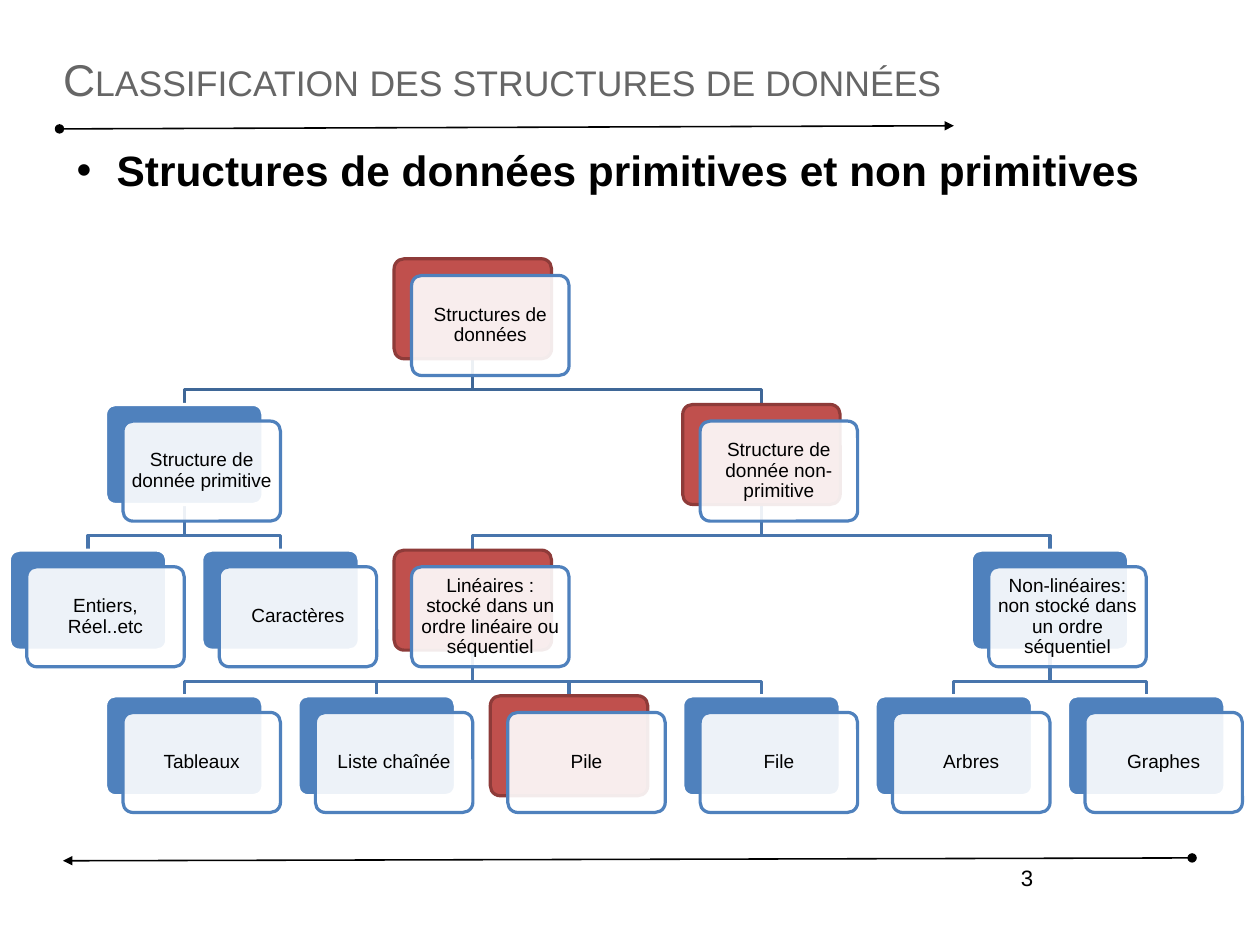
from collections.abc import Iterator
from dataclasses import dataclass

from lxml import etree
from pptx import Presentation
from pptx import util as u
from pptx.dml.color import RGBColor
from pptx.enum import shapes, text
from pptx.oxml import ns

BLUE, RED, DARK_RED = "4F81BD", "C0504D", "8E3B39"
WHITE, BLACK, GREY = "FFFFFF", "000000", "666666"
ROOT_LINK, LINK = "3F6797", "4875AC"

CARD_WIDTH, CARD_HEIGHT = 99.2, 63
TREE_LEFT, TREE_TOP = 5.9, 163
COLUMN_STEP, LEVEL_STEP = 60.6, 91.75
FRONT_DX, FRONT_DY = 11, 10.5
STEM = 19.6


@dataclass
class Node:
    label: str
    column: int
    highlighted: bool = False
    children: tuple["Node", ...] = ()
    level: int = 0

    def __post_init__(self) -> None:
        for child in self.children:
            child.lower()

    def lower(self) -> None:
        """Move the whole branch one level down."""
        self.level += 1
        for child in self.children:
            child.lower()

    def branch(self) -> Iterator["Node"]:
        yield self
        for child in self.children:
            yield from child.branch()

    @property
    def left(self) -> float:
        return TREE_LEFT + self.column * COLUMN_STEP

    @property
    def top(self) -> float:
        return TREE_TOP + self.level * LEVEL_STEP

    @property
    def center(self) -> float:
        return self.left + CARD_WIDTH / 2


@dataclass
class Arrow:
    """A line from a dot to a triangular head."""
    x1: float
    y1: float
    x2: float
    y2: float


TREE = Node("Structures de données", 4, True, (
    Node("Structure de donnée primitive", 1, children=(
        Node("Entiers, Réel..etc", 0),
        Node("Caractères", 2),
    )),
    Node("Structure de donnée non-primitive", 7, True, (
        Node("Linéaires : stocké dans un ordre linéaire ou séquentiel", 4, True, (
            Node("Tableaux", 1),
            Node("Liste chaînée", 3),
            Node("Pile", 5, True),
            Node("File", 7),
        )),
        Node("Non-linéaires: non stocké dans un ordre séquentiel", 10, children=(
            Node("Arbres", 9),
            Node("Graphes", 11),
        )),
    )),
))

ARROWS = (Arrow(37.5, 81.2, 601, 79.2), Arrow(751, 540.4, 39.7, 542.2))


def color(value: str) -> RGBColor:
    return RGBColor.from_string(value)


def set_line(shape, value: str, width: float) -> None:
    shape.line.color.rgb = color(value)
    shape.line.width = u.Pt(width)


def set_text(shape, content: str, size: float, inset: tuple[float, float],
             value: str = BLACK, align=text.PP_ALIGN.LEFT,
             anchor=text.MSO_ANCHOR.MIDDLE):
    frame = shape.text_frame
    frame.word_wrap = True
    frame.vertical_anchor = anchor
    frame.margin_left = frame.margin_right = u.Pt(inset[0])
    frame.margin_top = frame.margin_bottom = u.Pt(inset[1])
    paragraph = frame.paragraphs[0]
    paragraph.text = content
    paragraph.alignment = align
    paragraph.font.name = "Arial"
    paragraph.font.size = u.Pt(size)
    paragraph.font.color.rgb = color(value)
    return paragraph


def add_text(slide, left: float, top: float, width: float, height: float,
             content: str, size: float, **options):
    box = slide.shapes.add_textbox(u.Pt(left), u.Pt(top), u.Pt(width), u.Pt(height))
    return set_text(box, content, size, **options)


def add_arrow(slide, arrow: Arrow) -> None:
    connector = slide.shapes.add_connector(
        shapes.MSO_CONNECTOR.STRAIGHT,
        u.Pt(arrow.x1), u.Pt(arrow.y1), u.Pt(arrow.x2), u.Pt(arrow.y2))
    set_line(connector, BLACK, 1)
    line = connector._element.spPr.find(ns.qn("a:ln"))
    etree.SubElement(line, ns.qn("a:headEnd"), type="oval")
    etree.SubElement(line, ns.qn("a:tailEnd"), type="triangle")
    etree.SubElement(connector._element.spPr, ns.qn("a:effectLst"))


def add_link(slide, parent: Node, child: Node) -> None:
    start = parent.top + CARD_HEIGHT
    bend = start + STEM
    builder = slide.shapes.build_freeform(u.Pt(parent.center), u.Pt(start))
    builder.add_line_segments([
        (u.Pt(parent.center), u.Pt(bend)),
        (u.Pt(child.center), u.Pt(bend)),
        (u.Pt(child.center), u.Pt(child.top)),
    ], close=False)
    link = builder.convert_to_shape()
    link.shadow.inherit = False
    link.fill.background()
    set_line(link, LINK if parent.level else ROOT_LINK, 2)


def add_card(slide, left: float, top: float, fill: str, line: str):
    card = slide.shapes.add_shape(
        shapes.MSO_SHAPE.ROUNDED_RECTANGLE,
        u.Pt(left), u.Pt(top), u.Pt(CARD_WIDTH), u.Pt(CARD_HEIGHT))
    card.adjustments[0] = 0.1
    card.shadow.inherit = False
    card.fill.solid()
    card.fill.fore_color.rgb = color(fill)
    set_line(card, line, 2)
    return card


def add_node(slide, node: Node) -> None:
    """Draw the solid back card and the translucent front card with the label."""
    fill, line = (RED, DARK_RED) if node.highlighted else (BLUE, WHITE)
    add_card(slide, node.left, node.top, fill, line)
    front = add_card(slide, node.left + FRONT_DX, node.top + FRONT_DY, WHITE, BLUE)
    front_color = front._element.spPr.find(ns.qn("a:solidFill"))[0]
    etree.SubElement(front_color, ns.qn("a:alpha"), val="90000")
    paragraph = set_text(front, node.label, 12, (3.6, 3.6), align=text.PP_ALIGN.CENTER)
    paragraph.line_spacing = 0.9


def main() -> None:
    presentation = Presentation()
    presentation.slide_width, presentation.slide_height = u.Pt(793.75), u.Pt(595.25)
    slide = presentation.slides.add_slide(presentation.slide_layouts[6])

    for arrow in ARROWS:
        add_arrow(slide, arrow)
    add_text(slide, 473, 540.7, 185, 41, "3", 14, inset=(7.2, 3.6),
             align=text.PP_ALIGN.RIGHT, anchor=text.MSO_ANCHOR.TOP)

    title = add_text(slide, 39.7, 23.8, 714.2, 51.8,
                     "Classification des structures de données", 28,
                     inset=(0, 0), value=GREY)
    title._p.pPr.find(ns.qn("a:defRPr")).set("cap", "small")

    heading = add_text(slide, 39.7, 90.7, 713.5, 157.7,
                       "Structures de données primitives et non primitives", 26.7,
                       inset=(0, 0), anchor=text.MSO_ANCHOR.TOP)
    heading.font.bold = True
    heading.space_before = u.Pt(9.4)
    properties = heading._p.pPr
    properties.set("marL", str(u.Pt(33.8)))
    properties.set("indent", str(u.Pt(-25.2)))
    defaults = properties.find(ns.qn("a:defRPr"))
    defaults.addprevious(etree.Element(ns.qn("a:buFont"), typeface="Arial"))
    defaults.addprevious(etree.Element(ns.qn("a:buChar"), char="•"))

    nodes = list(TREE.branch())
    for parent in nodes:
        for child in parent.children:
            add_link(slide, parent, child)
    for node in nodes:
        add_node(slide, node)

    presentation.save("out.pptx")


if __name__ == "__main__":
    main()
